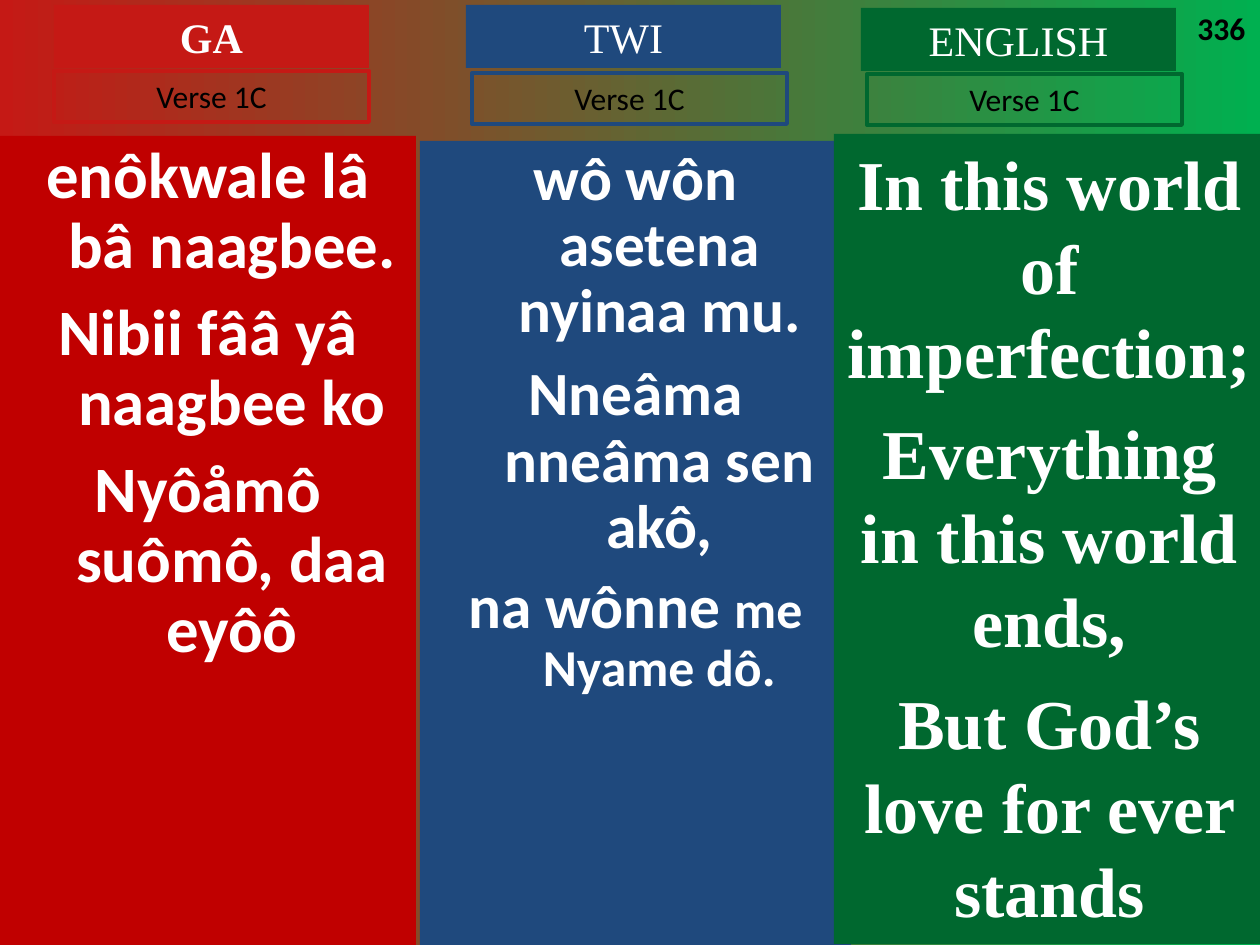
from dataclasses import dataclass

from pptx import Presentation
from pptx.dml.color import RGBColor
from pptx.enum.shapes import MSO_SHAPE
from pptx.enum.text import MSO_ANCHOR, PP_ALIGN
from pptx.util import Emu, Pt

RECT = MSO_SHAPE.RECTANGLE
TOP = MSO_ANCHOR.TOP
MID = PP_ALIGN.CENTER
LEFT = PP_ALIGN.LEFT
SCALE = 914400 / 126


@dataclass(frozen=True)
class Theme:
    white: str = "FFFFFF"
    black: str = "000000"
    start: str = "C51915"
    end: str = "00B050"
    red: str = "C00000"
    blue: str = "1F497D"
    green: str = "00682F"
    sans: str = "Calibri"
    serif: str = "Times New Roman"
    head: float = 24
    label: float = 18
    ga: float = 37
    twi: float = 35.1
    small: float = 29.6
    english: float = 40
    rule: float = 2.25


THEME = Theme()


@dataclass(frozen=True)
class Box:
    x: int
    y: int
    w: int
    h: int


@dataclass(frozen=True)
class Run:
    text: str
    size: float


@dataclass(frozen=True)
class Verse:
    runs: tuple[Run, ...]
    gap: float = 0


@dataclass(frozen=True)
class Panel:
    title: str
    tint: str
    fill: str
    head: Box
    label: Box
    body: Box
    lines: tuple[Verse, ...]
    font: str
    hang: int = 0
    lead: float = 1.0
    bold: bool = False


def px(n: int) -> Emu:
    return Emu(round(n * SCALE))


def place(box: Box) -> tuple[Emu, ...]:
    return px(box.x), px(box.y), px(box.w), px(box.h)


def verse(text: str, size: float, gap: float = 0) -> Verse:
    return Verse((Run(text, size),), gap)


def write(shape, lines: tuple[Verse, ...], *, font: str, color: str,
          bold: bool = False, align=MID, hang: int = 0,
          lead: float = 1.0) -> None:
    frame = shape.text_frame
    frame.word_wrap = True
    frame.vertical_anchor = TOP
    for i, line in enumerate(lines):
        para = frame.add_paragraph() if i else frame.paragraphs[0]
        para.alignment = align
        para.line_spacing = lead
        para.space_before = Pt(line.gap)
        if hang:
            props = para._p.get_or_add_pPr()
            props.set("marL", str(px(hang)))
            props.set("indent", str(-px(hang)))
        for part in line.runs:
            run = para.add_run()
            run.text = part.text
            run.font.name = font
            run.font.size = Pt(part.size)
            run.font.bold = bold
            run.font.color.rgb = RGBColor.from_string(color)


def block(slide, box: Box, *, fill: str = "", line: str = ""):
    shape = slide.shapes.add_shape(RECT, *place(box))
    shape.shadow.inherit = False
    if fill:
        shape.fill.solid()
        shape.fill.fore_color.rgb = RGBColor.from_string(fill)
    else:
        shape.fill.background()
    if line:
        shape.line.color.rgb = RGBColor.from_string(line)
        shape.line.width = Pt(THEME.rule)
    else:
        shape.line.fill.background()
    return shape


def draw(slide, panel: Panel) -> None:
    body = block(slide, panel.body, fill=panel.fill)
    write(body, panel.lines, font=panel.font, color=THEME.white, bold=True,
          hang=panel.hang, lead=panel.lead)
    head = block(slide, panel.head, fill=panel.tint)
    write(head, (verse(panel.title, THEME.head),), font=THEME.serif,
          color=THEME.white, bold=panel.bold)
    label = block(slide, panel.label, line=panel.tint)
    write(label, (verse("Verse 1C", THEME.label),), font=THEME.sans,
          color=THEME.black)


PANELS = (
    Panel("GA", THEME.start, THEME.red,
          Box(54, 5, 315, 63), Box(54, 71, 315, 51), Box(0, 136, 416, 809),
          (verse("enôkwale lâ bâ naagbee.", THEME.ga),
           verse("Nibii fââ yâ naagbee ko", THEME.ga, 10),
           verse("Nyôåmô suômô, daa eyôô", THEME.ga, 10)),
          THEME.sans, hang=48, lead=0.9, bold=True),
    Panel("TWI", THEME.blue, THEME.blue,
          Box(466, 5, 315, 63), Box(472, 73, 315, 51), Box(420, 141, 431, 804),
          (verse("wô wôn asetena nyinaa mu.", THEME.twi),
           verse("Nneâma nneâma sen akô,", THEME.twi, 9.5),
           Verse((Run("na wônne ", THEME.twi),
                  Run("me Nyame dô.", THEME.small)), 8)),
          THEME.sans, hang=48, lead=0.9),
    Panel("ENGLISH", THEME.green, THEME.green,
          Box(861, 8, 315, 63), Box(867, 74, 315, 51), Box(834, 134, 431, 810),
          (verse("In this world of imperfection;", THEME.english),
           verse("Everything in this world ends,", THEME.english, 10),
           verse("But God’s love for ever stands", THEME.english, 10)),
          THEME.serif),
)


def main() -> None:
    deck = Presentation()
    deck.slide_width, deck.slide_height = px(1260), px(945)
    slide = deck.slides.add_slide(deck.slide_layouts[6])
    back = slide.background.fill
    back.gradient()
    back.gradient_angle = 0
    for stop, tint in zip(back.gradient_stops, (THEME.start, THEME.end)):
        stop.color.rgb = RGBColor.from_string(tint)
    for panel in PANELS:
        draw(slide, panel)
    number = slide.shapes.add_textbox(*place(Box(1178, 3, 84, 88)))
    write(number, (verse(" 336", THEME.label),), font=THEME.sans,
          color=THEME.black, bold=True, align=LEFT)
    deck.save("out.pptx")


if __name__ == "__main__":
    main()
